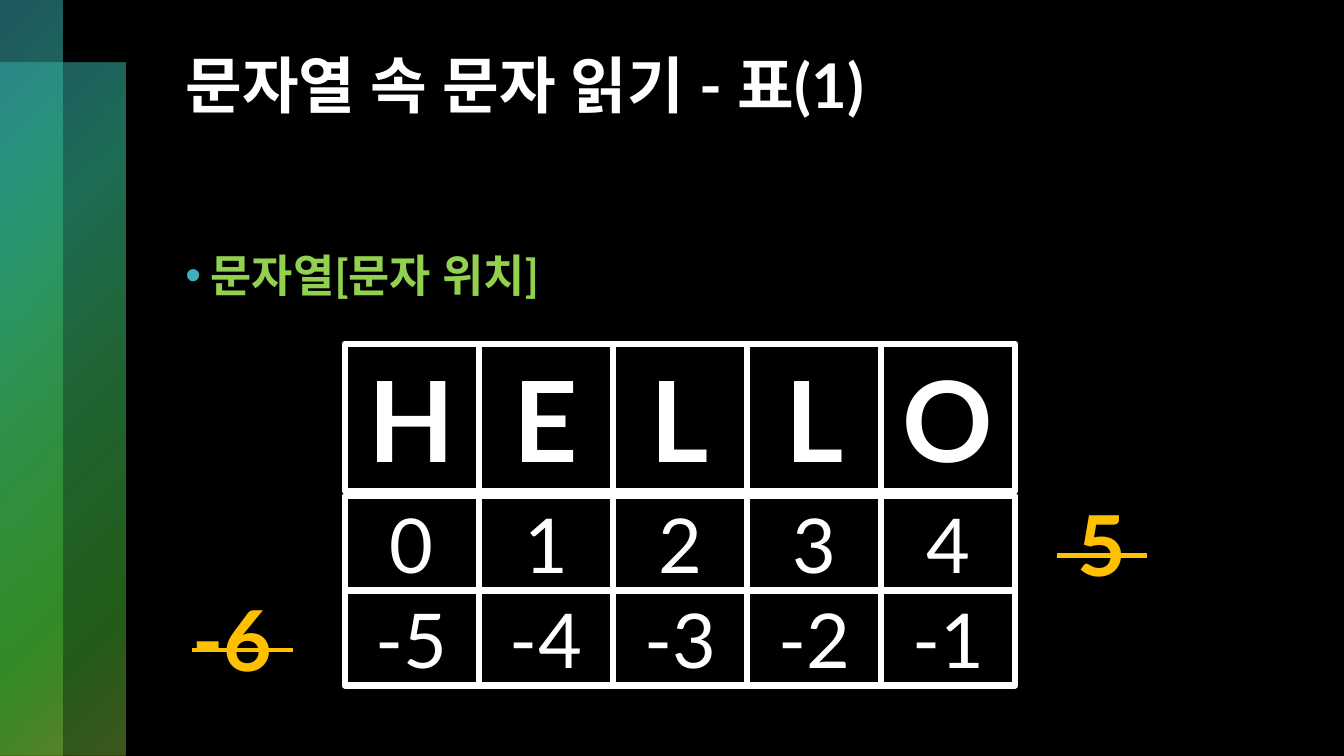
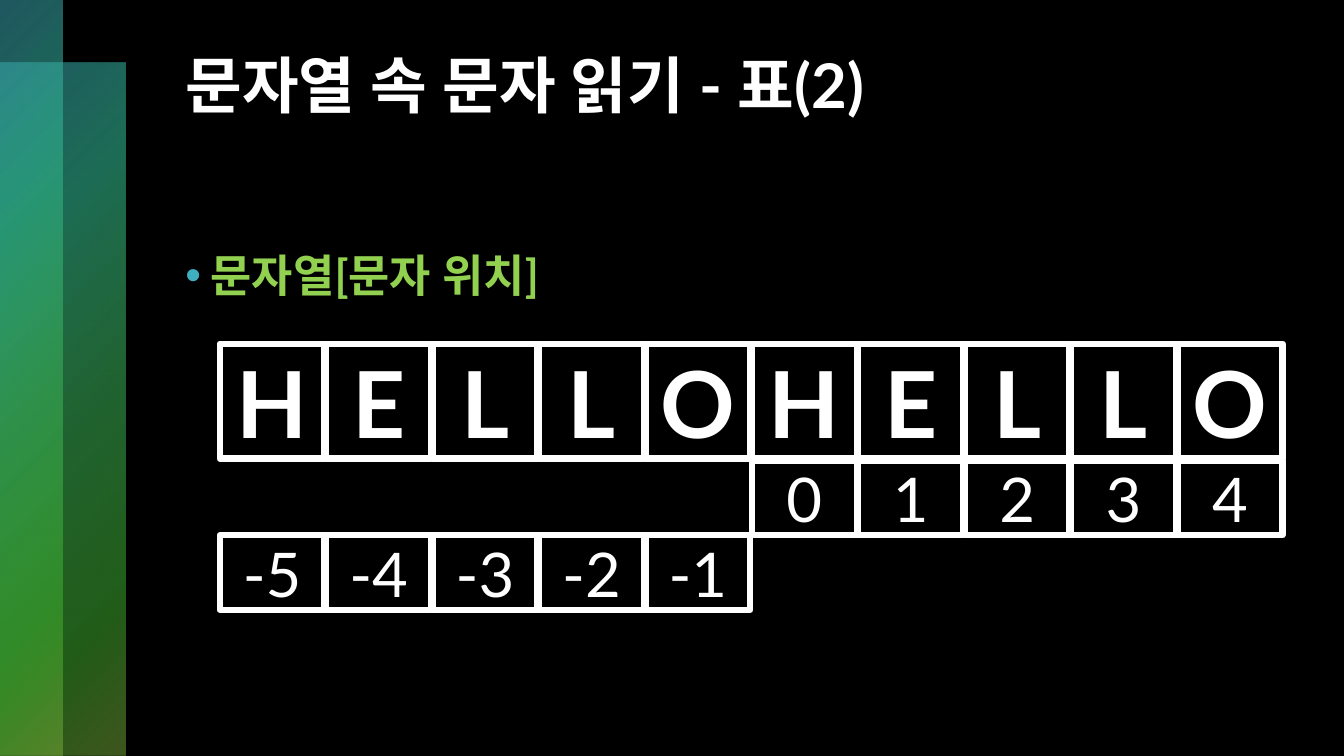
from pptx import Presentation
from pptx.dml.color import RGBColor
from pptx.enum.shapes import MSO_SHAPE as Shape
from pptx.enum.text import MSO_ANCHOR as Anchor, MSO_AUTO_SIZE as Fit, PP_ALIGN as Align
from pptx.oxml import parse_xml
from pptx.oxml.ns import nsdecls, qn
from pptx.util import Inches, Pt

WHITE, GREEN, AMBER, TEAL = "FFFFFF", "92D050", "FFC000", "3FAFBF"
FONT = "Lato"
STOPS = [(0, TEAL, 50), (25, "30B58E", 60), (50, "3CB65F", 55),
         (81, "43B931", 50), (99, "7AAF3A", 50)]
WORD = "HELLO"
UP = range(5)
DOWN = range(-5, 0)


def rgb(code):
    return RGBColor.from_string(code)


def write(shape, text, size, color=WHITE, bold=True, strike=False,
          align=Align.LEFT, anchor=Anchor.TOP, space=None):
    """Put one formatted paragraph in a shape and return it."""
    frame = shape.text_frame
    frame.word_wrap = True
    frame.auto_size = Fit.NONE
    frame.vertical_anchor = anchor
    para = frame.paragraphs[0]
    para.alignment = align
    para.line_spacing = space
    run = para.add_run()
    run.text = text
    font = run.font
    font.name, font.size, font.bold = FONT, Pt(size), bold
    font.color.rgb = rgb(color)
    props = run._r.get_or_add_rPr()
    props.append(parse_xml(f'<a:ea {nsdecls("a")} typeface="{FONT}"/>'))
    if strike:
        props.set("strike", "sngStrike")
    return para


deck = Presentation()
deck.slide_width, deck.slide_height = Inches(13.33), Inches(7.5)

# Shared look: black background and two translucent bands on the layout
layout = deck.slide_layouts[5]
layout.background.fill.solid()
layout.background.fill.fore_color.rgb = rgb("000000")
slides = [deck.slides.add_slide(layout) for _ in range(2)]

stops = "".join(
    f'<a:gs pos="{pos * 1000}"><a:srgbClr val="{code}">'
    f'<a:alpha val="{alpha * 1000}"/></a:srgbClr></a:gs>'
    for pos, code, alpha in STOPS)
bands = [(0.62, 1.24, 6.88), (0, 0.62, 7.5)]
for spot, (top, width, height) in enumerate(bands, 2):
    band = slides[0].shapes.add_shape(
        Shape.RECTANGLE, 0, Inches(top), Inches(width), Inches(height))
    band.element.spPr.append(parse_xml(
        f'<a:gradFill {nsdecls("a")} rotWithShape="1"><a:gsLst>{stops}</a:gsLst>'
        '<a:path path="circle"><a:fillToRect r="100000" b="100000"/></a:path>'
        '</a:gradFill>'))
    band.line.fill.background()
    band.shadow.inherit = False
    layout.shapes.element.insert(spot, band.element)

# Title and bullet line
for num, slide in enumerate(slides, 1):
    title = slide.shapes.title
    title.left, title.top = Inches(1.74), Inches(0.5)
    title.width, title.height = Inches(10.37), Inches(1.7)
    write(title, f"문자열 속 문자 읽기 - 표({num})", 44, space=0.9)

    body = slide.shapes.add_textbox(
        Inches(1.74), Inches(2.36), Inches(5.78), Inches(0.91))
    para = write(body, "문자열[문자 위치]", 32, color=GREEN, space=1.1)
    para.space_before = Pt(12)
    props = para._p.get_or_add_pPr()
    props.set("marL", str(Inches(0.25)))
    props.set("indent", str(-Inches(0.25)))
    color = parse_xml(f'<a:buClr {nsdecls("a")}><a:srgbClr val="{TEAL}"/></a:buClr>')
    face = parse_xml(f'<a:buFont {nsdecls("a")} typeface="Arial"/>')
    mark = parse_xml(f'<a:buChar {nsdecls("a")} char="•"/>')
    for part in (color, face, mark):
        props.append(part)

# Rows of cells: slide, texts, left, top, pitch, width, height, size, bold
step = 9.5 / 9
half = 2.18 + 5 * step
rows = [
    (0, WORD, 3.42, 3.41, 1.33, 1.33, 1.46, 80, True),
    (0, UP, 3.42, 4.92, 1.33, 1.33, 0.94, 54, False),
    (0, DOWN, 3.42, 5.86, 1.33, 1.33, 0.94, 54, False),
    (1, WORD * 2, 2.18, 3.41, step, 1.04, 1.14, 66, True),
    (1, UP, half, 4.57, step, 1.04, 0.74, 44, False),
    (1, DOWN, 2.18, 5.31, step, 1.04, 0.74, 44, False),
]
for page, texts, left, top, pitch, width, height, size, bold in rows:
    for col, text in enumerate(texts):
        cell = slides[page].shapes.add_shape(
            Shape.RECTANGLE, Inches(left + col * pitch), Inches(top),
            Inches(width), Inches(height))
        cell.fill.background()
        cell.line.color.rgb = rgb(WHITE)
        cell.line.width = Pt(4.5)
        cell.shadow.inherit = False
        write(cell, str(text), size, bold=bold, align=Align.CENTER,
              anchor=Anchor.MIDDLE)

# Positions outside the word, struck out
for text, left, top, width in [(" 5 ", 10.39, 4.84, 1.14), ("-6 ", 1.81, 5.78, 1.46)]:
    box = slides[0].shapes.add_textbox(
        Inches(left), Inches(top), Inches(width), Inches(1.11))
    write(box, text, 60, color=AMBER, strike=True)

deck.save("out.pptx")
